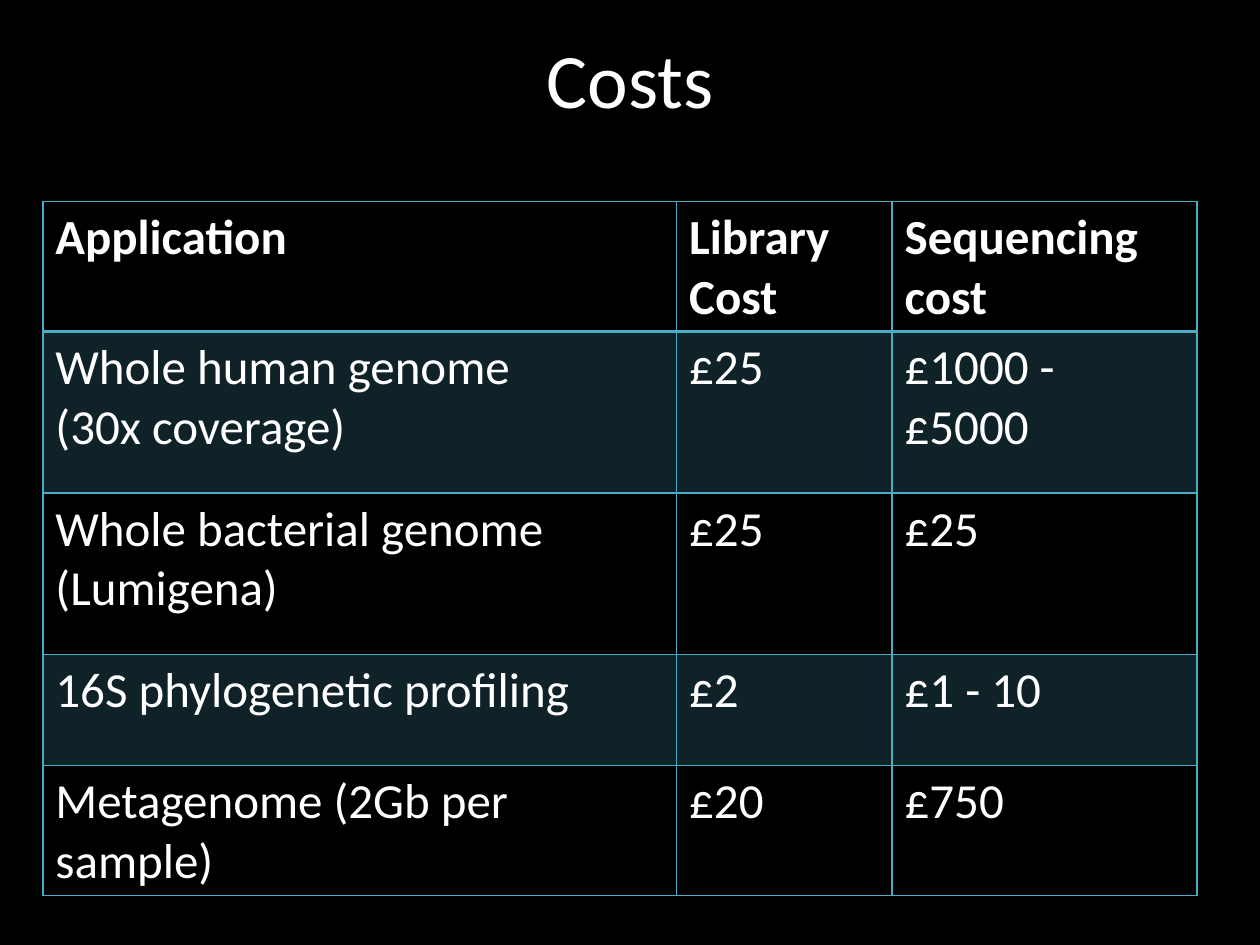
from lxml.etree import SubElement
from pptx import Presentation
from pptx.dml.color import RGBColor
from pptx.enum.text import MSO_ANCHOR, PP_ALIGN
from pptx.oxml.ns import qn
from pptx.util import Inches, Pt

FONT = "Calibri"
BLACK, WHITE, TEAL = "000000", "FFFFFF", "4BACC6"
COL_WIDTHS = [5.03, 1.71, 2.42]
ROW_HEIGHTS = [0.95, 1.28, 1.28, 0.88, 0.95]
COSTS = [
    ["Application", "Library Cost", "Sequencing cost"],
    ["Whole human genome\n(30x coverage)", "£25", "£1000 - £5000"],
    ["Whole bacterial genome\n(Lumigena)", "£25", "£25"],
    ["16S phylogenetic profiling", "£2", "£1 - 10"],
    ["Metagenome (2Gb per sample)", "£20", "£750"],
]


def rgb(color):
    return RGBColor.from_string(color)


def style_text(tf, size, bold=False):
    for p in tf.paragraphs:
        for r in p.runs:
            r.font.name = FONT
            r.font.size = Pt(size)
            r.font.bold = bold
            r.font.color.rgb = rgb(WHITE)


def add_title(s, text):
    tf = s.shapes.add_textbox(Inches(0.5), Inches(-0.01), Inches(9), Inches(1.25)).text_frame
    tf.word_wrap = True
    tf.vertical_anchor = MSO_ANCHOR.MIDDLE
    tf.text = text
    tf.paragraphs[0].alignment = PP_ALIGN.CENTER
    style_text(tf, 44)


def set_borders(cell, **widths):
    tcPr = cell._tc.get_or_add_tcPr()
    for side in "LRTB":
        ln = SubElement(tcPr, qn(f"a:ln{side}"), w=str(Pt(widths.get(side, 1))))
        fill = SubElement(ln, qn("a:solidFill"))
        SubElement(fill, qn("a:srgbClr"), val=TEAL)


def set_tint(cell, color, opacity):
    cell.fill.solid()
    cell.fill.fore_color.rgb = rgb(color)
    clr = cell._tc.tcPr.find(qn("a:solidFill")).find(qn("a:srgbClr"))
    SubElement(clr, qn("a:alpha"), val=str(opacity * 1000))


def add_cost_table(s):
    frame = s.shapes.add_table(len(COSTS), len(COL_WIDTHS), Inches(0.34), Inches(1.6),
                               Inches(sum(COL_WIDTHS)), Inches(sum(ROW_HEIGHTS)))
    table = frame.table
    table.horz_banding = False
    for column, width in zip(table.columns, COL_WIDTHS):
        column.width = Inches(width)
    for i, (row, height) in enumerate(zip(table.rows, ROW_HEIGHTS)):
        row.height = Inches(height)
        for cell, text in zip(row.cells, COSTS[i]):
            cell.text_frame.text = text
            style_text(cell.text_frame, 28, bold=i == 0)
            # Thick rule between the header and the body
            set_borders(cell, B=2 if i == 0 else 1, T=2 if i == 1 else 1)
            # Tint every other body row
            if i % 2:
                set_tint(cell, TEAL, 20)
            else:
                cell.fill.background()


def main():
    prs = Presentation()
    prs.slide_width, prs.slide_height = Inches(10), Inches(7.5)
    s = prs.slides.add_slide(prs.slide_layouts[6])
    s.background.fill.solid()
    s.background.fill.fore_color.rgb = rgb(BLACK)
    add_title(s, "Costs")
    add_cost_table(s)
    prs.save("out.pptx")


if __name__ == "__main__":
    main()
